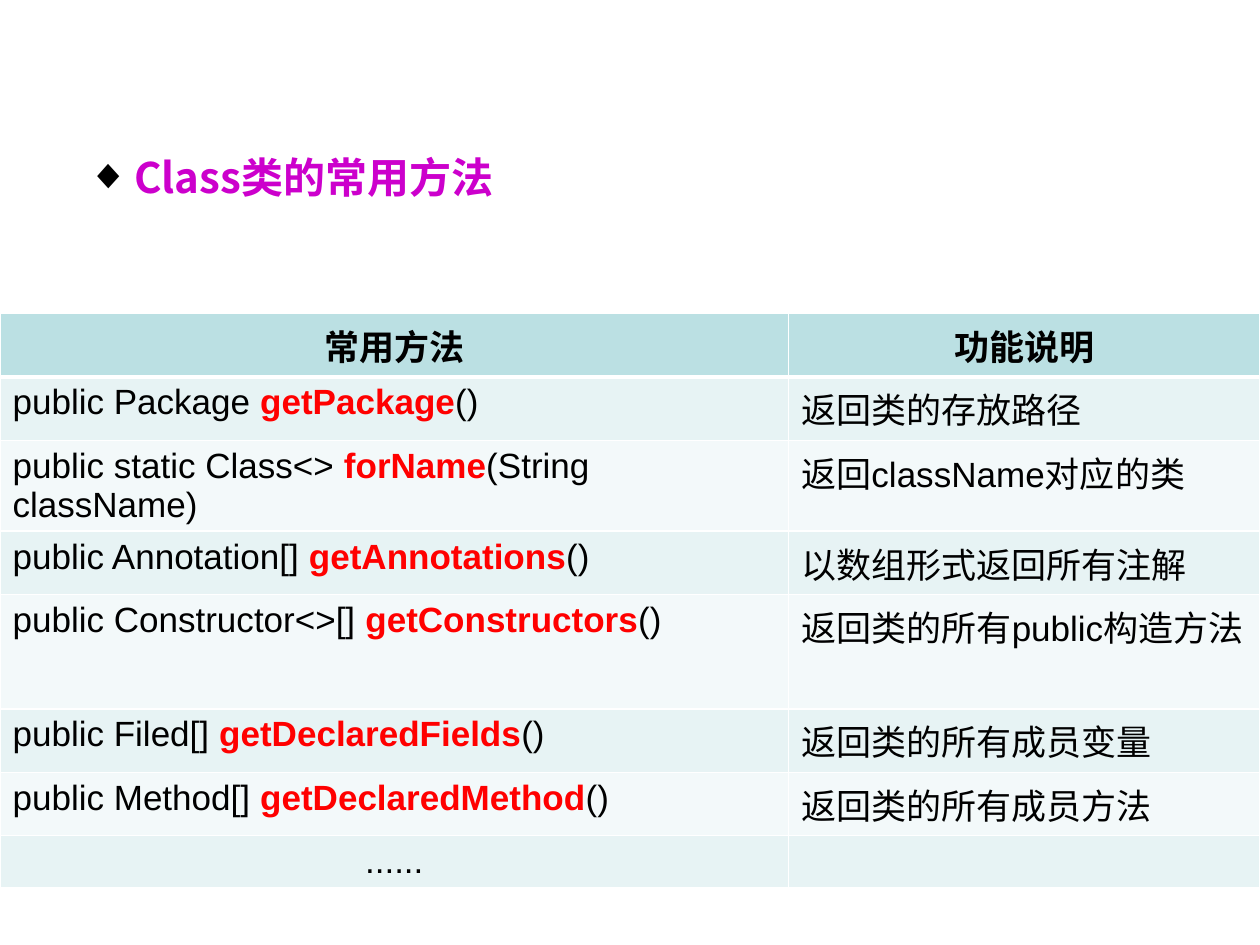
from lxml.etree import SubElement
from pptx import Presentation
from pptx.dml.color import RGBColor
from pptx.enum.text import MSO_ANCHOR, MSO_AUTO_SIZE, PP_ALIGN
from pptx.oxml import parse_xml
from pptx.oxml.ns import nsdecls, qn
from pptx.util import Cm, Pt

# Content: each method is split as before, name, after
TITLE = "Class类的常用方法"
HEADS = ["常用方法", "功能说明"]
ROWS = [
    (("public Package ", "getPackage", "()"), "返回类的存放路径"),
    (("public static Class<> ", "forName", "(String className)"), "返回className对应的类"),
    (("public Annotation[] ", "getAnnotations", "()"), "以数组形式返回所有注解"),
    (("public Constructor<>[] ", "getConstructors", "()"), "返回类的所有public构造方法"),
    (("public Filed[] ", "getDeclaredFields", "()"), "返回类的所有成员变量"),
    (("public Method[] ", "getDeclaredMethod", "()"), "返回类的所有成员方法"),
]
MORE = "......"

# Colours and formats
BLACK = RGBColor(0x00, 0x00, 0x00)
RED = RGBColor(0xFF, 0x00, 0x00)
PURPLE = RGBColor(0xCC, 0x00, 0xCC)
TEAL = RGBColor(0xBB, 0xE0, 0xE3)
BANDS = [RGBColor(0xE7, 0xF3, 0xF4), RGBColor(0xF3, 0xF9, 0xFA)]
HAN = "Noto Sans CJK SC"
PLAIN = {"name": "Arial", "size": Pt(20), "bold": False, "color": BLACK}
BOLD = {**PLAIN, "bold": True}
NAME = {**BOLD, "color": RED}
HEADING = {"name": HAN, "size": Pt(24), "bold": True, "color": PURPLE}

# Measures
WIDE, HIGH = Cm(25.4), Cm(19.05)
COLS = [Cm(15.9), Cm(9.5)]
TOP, ROW = Cm(6.32), Cm(1.04)


def add_run(para, text, form):
    run = para.add_run()
    run.text = text
    for key, value in form.items():
        if key == "color":
            run.font.color.rgb = value
        else:
            setattr(run.font, key, value)
    SubElement(run.font._element, qn("a:ea")).set("typeface", HAN)


def fill_cell(cell, parts, fill, align=PP_ALIGN.LEFT, base=1):
    para = cell.text_frame.paragraphs[0]
    para.alignment = align
    for text, form in parts:
        add_run(para, text, form)
    cell.fill.solid()
    cell.fill.fore_color.rgb = fill
    # Borders go ahead of the fill
    props = cell._tc.get_or_add_tcPr()
    for spot, side in enumerate("LRTB"):
        width = Pt(base if side == "B" else 1)
        props.insert(spot, parse_xml(
            f'<a:ln{side} {nsdecls("a")} w="{width}"><a:solidFill>'
            f'<a:srgbClr val="FFFFFF"/></a:solidFill></a:ln{side}>'))


def add_title(slide):
    title = slide.shapes.title
    place = {"left": Cm(1.5), "top": Cm(2.92), "width": Cm(22.4), "height": Cm(13.8)}
    for key, value in place.items():
        setattr(title, key, value)
    frame = title.text_frame
    form = {"word_wrap": True, "auto_size": MSO_AUTO_SIZE.NONE,
            "vertical_anchor": MSO_ANCHOR.TOP}
    for key, value in form.items():
        setattr(frame, key, value)
    para = frame.paragraphs[0]
    para.alignment = PP_ALIGN.LEFT
    add_run(para, TITLE, HEADING)
    # Hanging diamond bullet
    props = para._p.get_or_add_pPr()
    props.set("marL", str(Cm(0.95)))
    props.set("indent", str(-Cm(0.95)))
    for xml in (
        '<a:spcBef {}><a:spcPct val="20000"/></a:spcBef>',
        '<a:buClr {}><a:srgbClr val="000000"/></a:buClr>',
        '<a:buFont {} typeface="Arial"/>',
        '<a:buChar {} char="◆"/>',
    ):
        props.append(parse_xml(xml.format(nsdecls("a"))))


def add_grid(slide):
    count = len(ROWS) + 2
    table = slide.shapes.add_table(count, 2, 0, TOP, WIDE, ROW * count).table
    for col, width in zip(table.columns, COLS):
        col.width = width
    for row in table.rows:
        row.height = ROW
    # Header
    for col, text in enumerate(HEADS):
        fill_cell(table.cell(0, col), [(text, BOLD)], TEAL, PP_ALIGN.CENTER, 3)
    # Methods
    for row, (call, note) in enumerate(ROWS, 1):
        band = BANDS[(row - 1) % 2]
        fill_cell(table.cell(row, 0), zip(call, (PLAIN, NAME, PLAIN)), band)
        fill_cell(table.cell(row, 1), [(note, PLAIN)], band)
    # Closing row
    last = count - 1
    band = BANDS[(last - 1) % 2]
    fill_cell(table.cell(last, 0), [(MORE, PLAIN)], band, PP_ALIGN.CENTER)
    fill_cell(table.cell(last, 1), [], band)


def main():
    deck = Presentation()
    deck.slide_width, deck.slide_height = WIDE, HIGH
    slide = deck.slides.add_slide(deck.slide_layouts[5])
    add_title(slide)
    add_grid(slide)
    deck.save("out.pptx")


if __name__ == "__main__":
    main()
